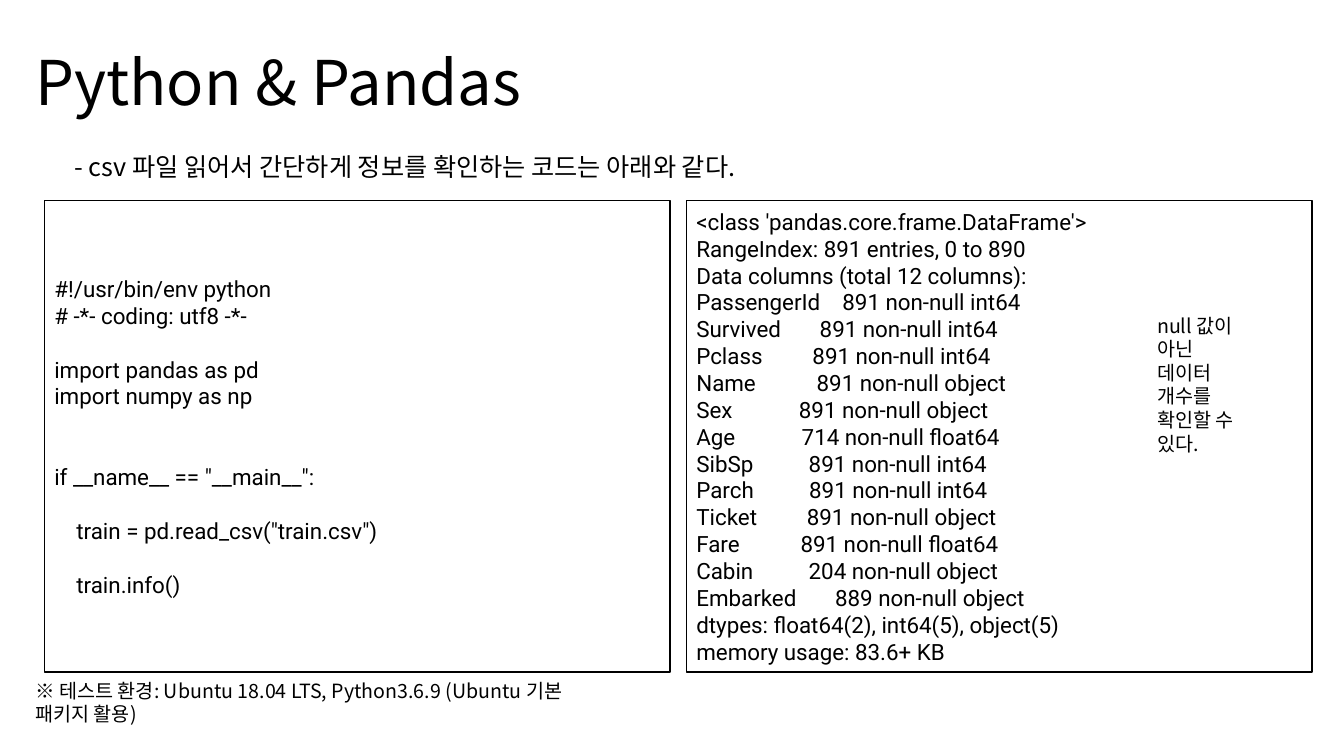
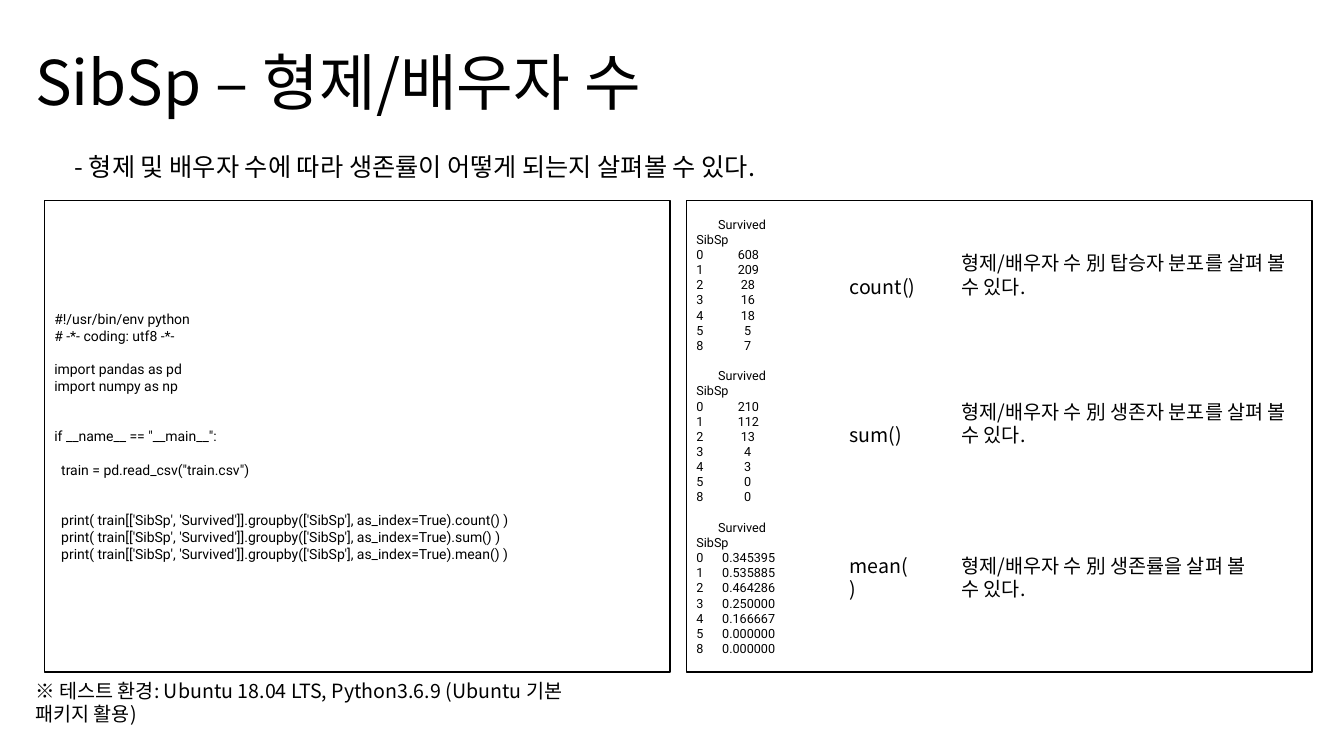
from dataclasses import dataclass

from lxml import etree
from pptx import Presentation
from pptx.dml.color import RGBColor
from pptx.enum.shapes import MSO_SHAPE
from pptx.enum.text import MSO_ANCHOR, PP_ALIGN
from pptx.oxml.ns import qn
from pptx.util import Cm, Pt

RECTANGLE = MSO_SHAPE.RECTANGLE
TOP, MIDDLE, BOTTOM = MSO_ANCHOR.TOP, MSO_ANCHOR.MIDDLE, MSO_ANCHOR.BOTTOM
LEFT = PP_ALIGN.LEFT


@dataclass(frozen=True)
class Theme:
    ink: RGBColor = RGBColor(0, 0, 0)
    paper: RGBColor = RGBColor(255, 255, 255)
    text_font: str = "Noto Sans CJK KR"
    code_font: str = "Roboto"
    title_size: int = 44
    subtitle_size: int = 18
    note_size: int = 14
    line_height: float = 1.2


theme = Theme()


def write_lines(shape, lines, font_name, size, anchor):
    """Write one paragraph per line; empty lines become space before the next."""
    frame = shape.text_frame
    frame.word_wrap = True
    frame.vertical_anchor = anchor
    paragraph = frame.paragraphs[0]
    empty_lines = 0
    for index, line in enumerate(lines):
        if not line:
            empty_lines += 1
            continue
        if index:
            paragraph = frame.add_paragraph()
        paragraph.alignment = LEFT
        if empty_lines:
            paragraph.space_before = Pt(empty_lines * size * theme.line_height)
            empty_lines = 0
        run = paragraph.add_run()
        run.text = line
        run.font.size = Pt(size)
        run.font.color.rgb = theme.ink
        run.font.name = font_name
        east_asian = etree.SubElement(run.font._element, qn("a:ea"))
        east_asian.set("typeface", font_name)


def add_text(slide, box, lines, size, anchor=BOTTOM):
    shape = slide.shapes.add_textbox(*(Cm(length) for length in box))
    write_lines(shape, lines, theme.text_font, size, anchor)


# Code and console output
code_head = [
    "#!/usr/bin/env python",
    "# -*- coding: utf8 -*-",
    "",
    "import pandas as pd",
    "import numpy as np",
    "",
    "",
    'if __name__ == "__main__":',
    "",
]
info_code = code_head + ['    train = pd.read_csv("train.csv")', "", "    train.info()"]

columns = [
    ("PassengerId", 891, "int64"),
    ("Survived", 891, "int64"),
    ("Pclass", 891, "int64"),
    ("Name", 891, "object"),
    ("Sex", 891, "object"),
    ("Age", 714, "float64"),
    ("SibSp", 891, "int64"),
    ("Parch", 891, "int64"),
    ("Ticket", 891, "object"),
    ("Fare", 891, "float64"),
    ("Cabin", 204, "object"),
    ("Embarked", 889, "object"),
]
info_output = [
    "<class 'pandas.core.frame.DataFrame'>",
    "RangeIndex: 891 entries, 0 to 890",
    "Data columns (total 12 columns):",
    *(f"{name:<15}{count} non-null {kind}" for name, count, kind in columns),
    "dtypes: float64(2), int64(5), object(5)",
    "memory usage: 83.6+ KB",
]

functions = ["count()", "sum()", "mean()"]
group_code = code_head + ['  train = pd.read_csv("train.csv")', "", ""] + [
    f"  print( train[['SibSp', 'Survived']].groupby(['SibSp'], as_index=True).{function} )"
    for function in functions
]

siblings = [0, 1, 2, 3, 4, 5, 8]
passengers = [608, 209, 28, 16, 18, 5, 7]
survivors = [210, 112, 13, 4, 3, 0, 0]
rates = [f"{saved / total:.6f}" for saved, total in zip(survivors, passengers)]
group_output = []
for values in (passengers, survivors, rates):
    if group_output:
        group_output.append("")
    group_output += [f"{'Survived':>15}", "SibSp"]
    group_output += [f"{key}{value:>14}" for key, value in zip(siblings, values)]

# Side notes: box, lines
info_notes = [
    ((28.91, 9.53, 3.12, 2.06), ["null 값이 아닌", "데이터 개수를", "확인할 수 있다."]),
]
group_notes = []
for function, subject, top, label_width, note_width in zip(
    functions,
    ["탑승자 분포를", "생존자 분포를", "생존률을"],
    [6.78, 10.52, 14.4],
    [2.21, 1.88, 2.11],
    [8.99, 8.84, 8.0],
):
    group_notes += [
        ((21.16, top, label_width, 0.86), [function]),
        ((23.98, top, note_width, 0.86), [f"형제/배우자 수 別 {subject} 살펴 볼 수 있다."]),
    ]

# Slides: title, title width, subtitle, (lines, size) of each panel, notes
pages = [
    (
        "Python & Pandas", 15.06,
        "- csv 파일 읽어서 간단하게 정보를 확인하는 코드는 아래와 같다.",
        [(info_code, 16), (info_output, 16)], info_notes,
    ),
    (
        "SibSp – 형제/배우자 수", 18.03,
        "- 형제 및 배우자 수에 따라 생존률이 어떻게 되는지 살펴볼 수 있다.",
        [(group_code, 10), (group_output, 9)], group_notes,
    ),
]
footer = "※ 테스트 환경: Ubuntu 18.04 LTS, Python3.6.9 (Ubuntu 기본 패키지 활용)"

presentation = Presentation()
presentation.slide_width, presentation.slide_height = Cm(33.87), Cm(19.05)

for title, title_width, subtitle, panels, notes in pages:
    slide = presentation.slides.add_slide(presentation.slide_layouts[6])

    # Title, footer and subtitle
    add_text(slide, (0.64, 0.99, title_width, 2.13), [title], theme.title_size, TOP)
    add_text(slide, (0.64, 17.55, 14.81, 0.86), [footer], theme.note_size)
    add_text(slide, (1.63, 3.68, 29.82, 1.02), [subtitle], theme.subtitle_size, TOP)

    # Code panel on the left, output panel on the right
    for left, (lines, size) in zip((1.12, 17.3), panels):
        panel = slide.shapes.add_shape(RECTANGLE, Cm(left), Cm(5.05), Cm(15.77), Cm(11.89))
        panel.shadow.inherit = False
        panel.fill.solid()
        panel.fill.fore_color.rgb = theme.paper
        panel.line.color.rgb = theme.ink
        panel.line.width = Pt(1)
        write_lines(panel, lines, theme.code_font, size, MIDDLE)

    # Notes over the output
    for box, lines in notes:
        add_text(slide, box, lines, theme.note_size)

presentation.save("out.pptx")
